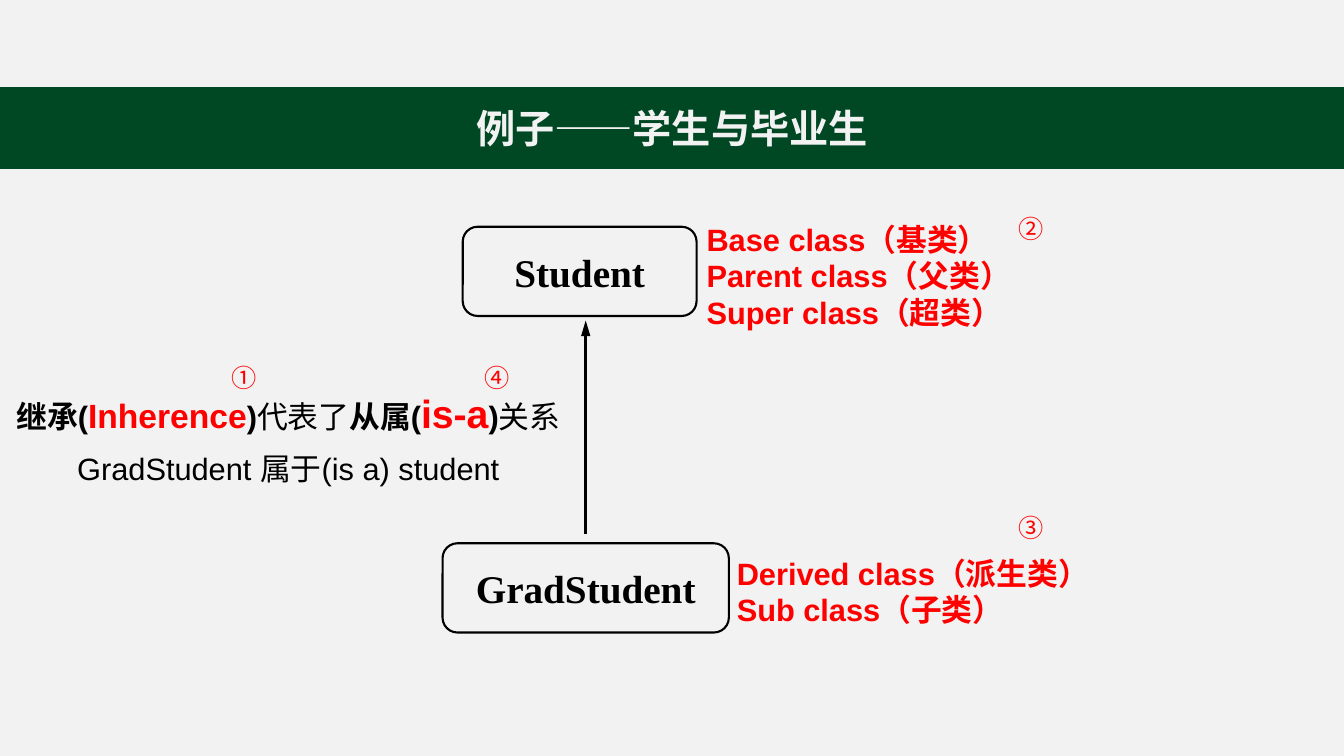
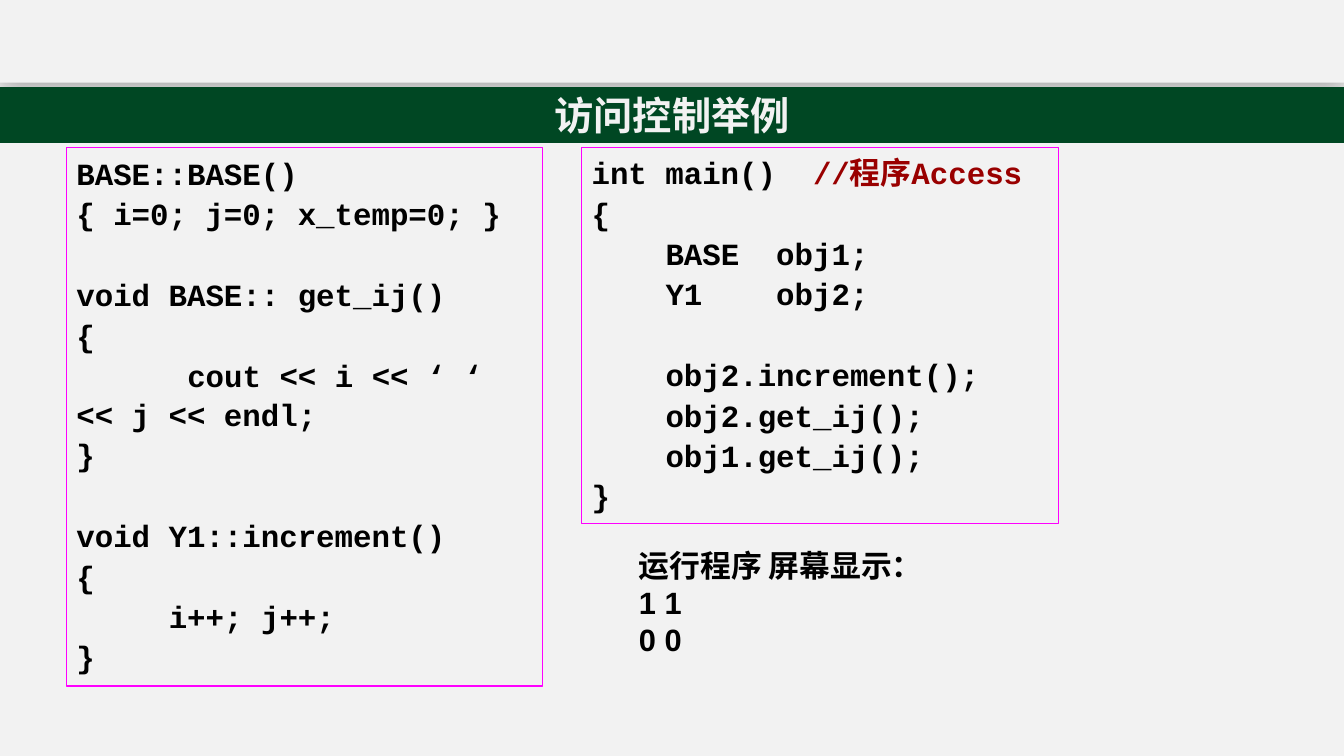
import pptx
import pptx.util
import pptx.dml.color
import pptx.enum.shapes
import pptx.enum.text
import pptx.oxml
import pptx.oxml.ns
from dataclasses import dataclass

Pt = pptx.util.Pt
Align = pptx.enum.text.PP_ALIGN
Anchor = pptx.enum.text.MSO_ANCHOR
Shapes = pptx.enum.shapes.MSO_SHAPE


@dataclass(frozen=True)
class Theme:
    page: str = "F2F2F2"
    green: str = "004723"
    ink: str = "000000"
    red: str = "FF0000"
    note: str = "990000"
    frame: str = "FF00FF"
    chinese: str = "Noto Sans CJK SC"
    sans: str = "Arial"
    serif: str = "Times New Roman"
    mono: str = "Courier New"
    heading: int = 28
    term: int = 24
    body: int = 22
    marker: int = 18


THEME = Theme()
CODE_CHAR = THEME.body * 0.6
CODE_PITCH = 29.2
CODE_SPACE = THEME.body * 0.05

HEADINGS = [
    ("例子——学生与毕业生", 0, 10.7),
    ("访问控制举例", -0.67, 7.25),
]
CLASSES = [
    ("Student", (34.43, 30, 17.4, 11.8)),
    ("GradStudent", (32.93, 71.87, 21.3, 11.8)),
]
INHERITS = ((43.58, 70.67), (43.58, 42.4))
SYNONYMS = [
    (["Base class（基类）", "Parent class（父类）", "Super class（超类）"],
     (51.83, 28, 32, 16.93)),
    (["Derived class（派生类）", "Sub class（子类）"],
     (54.08, 69.73, 32, 16.93)),
]
PLAIN = {"bold": False}
RELATION = [
    ["继承(", ("Inherence", {"size": THEME.term, "color": THEME.red}), ")",
     ("代表了", PLAIN), "从属(",
     ("is-a", {"size": THEME.heading, "color": THEME.red}), ")",
     ("关系", PLAIN)],
    [("GradStudent 属于(is a) student", PLAIN)],
]
RELATION_AREA = (0, 48.4, 42.9, 16.93)
MARKERS = [("①", 16.48, 47.33), ("②", 75.05, 27.55),
           ("③", 75.05, 67.07), ("④", 35.33, 47.25)]

METHODS = [
    (0, 0, ["BASE::BASE()"]),
    (0, 0, ["{ i=0; j=0; x_temp=0; }"]),
    (0, 1, ["void BASE:: get_ij()"]),
    (0, 0, ["{"]),
    (6, 0, ["cout << i << ‘ ‘ << j << endl;"]),
    (0, 0, ["}"]),
    (0, 1, ["void Y1::increment()"]),
    (0, 0, ["{"]),
    (5, 0, ["i++; j++;"]),
    (0, 0, ["}"]),
]
MAIN = [
    (0, 0, ["int main()  ", ("//程序Access", {"color": THEME.note})]),
    (0, 0, ["{"]),
    (4, 0, ["BASE  obj1;"]),
    (4, 0, ["Y1    obj2;"]),
    (4, 1, ["obj2.increment();"]),
    (4, 0, ["obj2.get_ij();"]),
    (4, 0, ["obj1.get_ij();"]),
    (0, 0, ["}"]),
]
LISTINGS = [(METHODS, (4.95, 19.55, 35.4, 71.2)),
            (MAIN, (43.28, 19.47, 35.45, 49.73))]
OUTPUT = ["运行程序 屏幕显示：", "1 1", "0 0"]
OUTPUT_AREA = (46.8, 70, 24.83, 19.33)

deck = pptx.Presentation()
deck.slide_width = pptx.util.Inches(13.33)
deck.slide_height = pptx.util.Inches(7.5)


def rgb(color):
    return pptx.dml.color.RGBColor.from_string(color)


def place(*shares):
    sides = (deck.slide_width, deck.slide_height) * 2
    return [round(side * share / 100) for side, share in zip(sides, shares)]


def add_xml(parent, tag, inner="", **attributes):
    attrs = "".join(f' {name}="{value}"' for name, value in attributes.items())
    parent.append(pptx.oxml.parse_xml(
        f'<a:{tag} {pptx.oxml.ns.nsdecls("a")}{attrs}>{inner}</a:{tag}>'))


def style_run(run, font, size, color, bold):
    run.font.name, run.font.size, run.font.bold = font, Pt(size), bold
    run.font.color.rgb = rgb(color)
    add_xml(run.font._element, "ea", typeface=THEME.chinese)


def write(frame, lines, font=THEME.sans, size=THEME.body, color=THEME.ink,
          bold=True, align=Align.LEFT, spacing=None):
    base = {"font": font, "size": size, "color": color, "bold": bold}
    frame.text = "\n".join("" for line in lines)
    for paragraph, line in zip(frame.paragraphs, lines):
        paragraph.alignment = align
        paragraph.line_spacing = spacing
        for piece in [line] if isinstance(line, str) else line:
            text, changes = (piece, {}) if isinstance(piece, str) else piece
            run = paragraph.add_run()
            run.text = text
            style_run(run, **{**base, **changes})


def drop_margins(frame):
    frame.margin_left = frame.margin_right = 0
    frame.margin_top = frame.margin_bottom = 0


def outline(slide, kind, area, color, width, fill=None):
    shape = slide.shapes.add_shape(kind, *place(*area))
    shape.shadow.inherit = False
    if fill:
        shape.fill.solid()
        shape.fill.fore_color.rgb = rgb(fill)
    else:
        shape.fill.background()
    if color:
        shape.line.color.rgb = rgb(color)
        shape.line.width = Pt(width)
    else:
        shape.line.fill.background()
    return shape


def label(slide, lines, area, anchor=Anchor.MIDDLE, **style):
    frame = slide.shapes.add_textbox(*place(*area)).text_frame
    frame.word_wrap = False
    frame.vertical_anchor = anchor
    write(frame, lines, **style)
    return frame


def new_slide(heading, header_top, band_height):
    slide = deck.slides.add_slide(deck.slide_layouts[5])
    title = slide.shapes.title
    title.left, title.top, title.width, title.height = place(
        0, 11.6, 100, band_height)
    title.fill.solid()
    title.fill.fore_color.rgb = rgb(THEME.green)
    title.line.color.rgb = rgb(THEME.green)
    title.line.width = Pt(1)
    title.text_frame.auto_size = pptx.enum.text.MSO_AUTO_SIZE.NONE
    title.text_frame.vertical_anchor = Anchor.MIDDLE
    write(title.text_frame, [heading], font=THEME.chinese, size=THEME.heading,
          color=THEME.page, align=Align.CENTER)
    header = outline(slide, Shapes.RECTANGLE, (0, header_top, 100, 11.6),
                     None, 0, THEME.page)
    effects = header._element.spPr.find(pptx.oxml.ns.qn("a:effectLst"))
    add_xml(effects, "outerShdw",
            '<a:srgbClr val="000000"><a:alpha val="29000"/></a:srgbClr>',
            blurRad=Pt(18), dist=Pt(4), dir=5400000, algn="t", rotWithShape=0)
    title._element.addprevious(header._element)
    return slide


def build_inheritance(slide):
    for name, area in CLASSES:
        box = outline(slide, Shapes.ROUNDED_RECTANGLE, area, THEME.ink, 1.5)
        frame = box.text_frame
        drop_margins(frame)
        frame.word_wrap = False
        write(frame, [name], font=THEME.serif, size=THEME.heading,
              align=Align.CENTER)
        frame.paragraphs[0].space_before = Pt(THEME.heading * 0.2)
    start, end = INHERITS
    arrow = slide.shapes.add_connector(
        pptx.enum.shapes.MSO_CONNECTOR.STRAIGHT, *place(*start, *end))
    arrow.line.color.rgb = rgb(THEME.ink)
    arrow.line.width = Pt(2.25)
    add_xml(arrow.line._get_or_add_ln(), "tailEnd", type="triangle", len="lg")
    add_xml(arrow._element.spPr, "effectLst")
    for names, area in SYNONYMS:
        label(slide, names, area, color=THEME.red)
    drop_margins(label(slide, RELATION, RELATION_AREA,
                       align=Align.CENTER, spacing=1.35))
    for number, left, top in MARKERS:
        label(slide, [number], (left, top, 3.38, 5.33), Anchor.TOP,
              font=THEME.chinese, size=THEME.marker, color=THEME.red,
              bold=False)


def build_access(slide):
    for listing, area in LISTINGS:
        frame = outline(slide, Shapes.RECTANGLE, area, THEME.frame,
                        0.75).text_frame
        frame.word_wrap = True
        frame.vertical_anchor = Anchor.TOP
        write(frame, [runs for indent, blanks, runs in listing],
              font=THEME.mono, spacing=1.05)
        for paragraph, (indent, blanks, runs) in zip(
                frame.paragraphs, listing):
            paragraph.space_before = Pt(CODE_SPACE + blanks * CODE_PITCH)
            properties = paragraph._p.get_or_add_pPr()
            properties.set("marL", "0")
            properties.set("indent", str(Pt(indent * CODE_CHAR)))
    label(slide, OUTPUT, OUTPUT_AREA)


def main():
    backdrop = deck.slide_master.background.fill
    backdrop.solid()
    backdrop.fore_color.rgb = rgb(THEME.page)
    for heading, build in zip(HEADINGS, (build_inheritance, build_access)):
        build(new_slide(*heading))
    deck.save("out.pptx")


if __name__ == "__main__":
    main()
